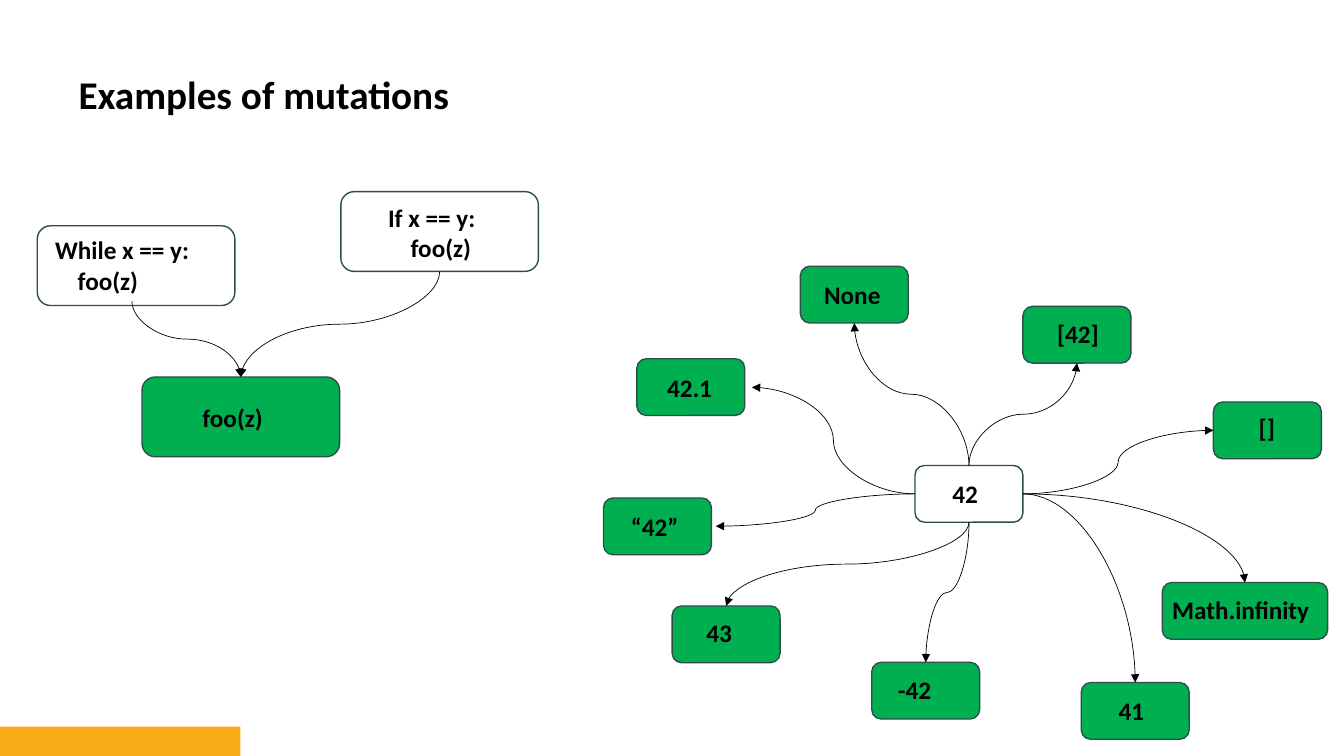
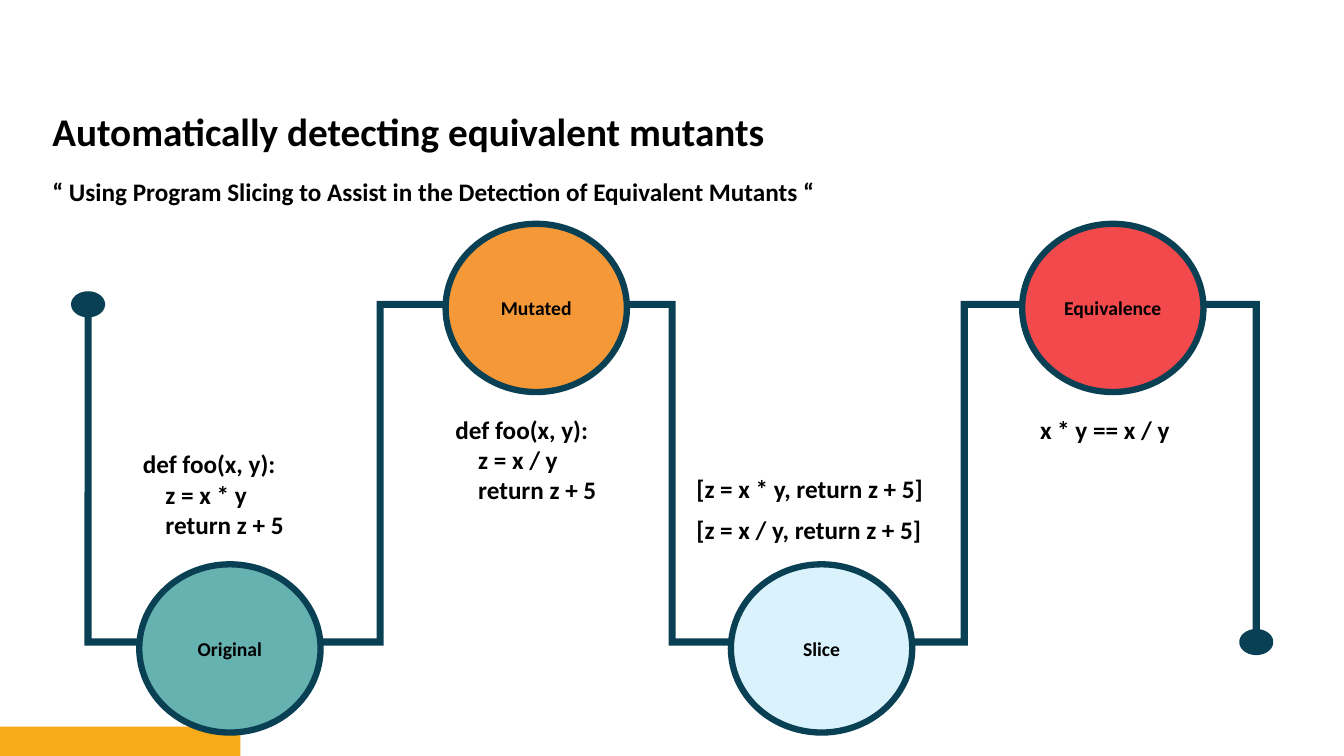
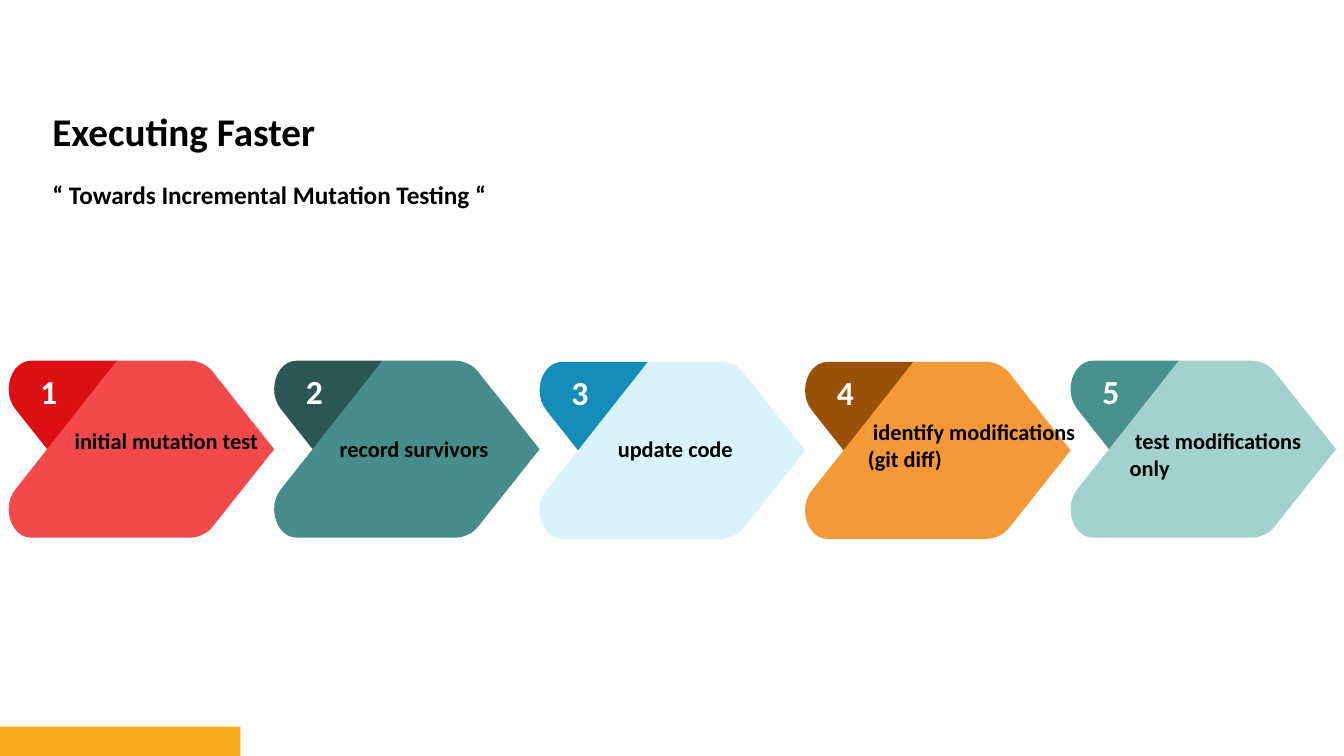
import math
from lxml import etree
from pptx import Presentation
from pptx import util as u
from pptx.dml.color import RGBColor
from pptx.enum import shapes, text
from pptx.oxml.ns import qn

COLOURS = {
    "band": "F9AA19", "ink": "000000", "paper": "FFFFFF", "edge": "2D4E4D",
    "mutant": "00B050", "navy": "0A4054", "red": "F2494C", "deep red": "DC1013",
    "orange": "F49838", "brown": "995109", "ice": "DAF2FB", "blue": "148DB8",
    "teal": "66B2B0", "dark teal": "468C8A", "deep teal": "2B5756",
    "pale teal": "A3D1D0", "mid teal": "49918F",
}
FONT = "Calibri"
TOP, LEFT, BOTTOM, RIGHT = range(4)
SITES = {TOP: (0.5, 0), LEFT: (0, 0.5), BOTTOM: (0.5, 1), RIGHT: (1, 0.5)}
CODE_INDENT = 0.57
KINDS = shapes.MSO_SHAPE


def apply(target, values):
    for name, value in values.items():
        setattr(target, name, value)


def colour(name):
    return RGBColor.from_string(COLOURS[name])


def paint(shape, fill, line=None, width=1):
    shape.shadow.inherit = False
    shape.fill.solid()
    shape.fill.fore_color.rgb = colour(fill)
    if line:
        shape.line.color.rgb = colour(line)
        shape.line.width = u.Pt(width)
    else:
        shape.line.fill.background()


def add_block(page, kind, place, fill, line=None, width=1):
    shape = page.shapes.add_shape(kind, *map(u.Cm, place))
    paint(shape, fill, line, width)
    return shape


def write(box, lines, size, ink="ink", align=None, indents=(), first=0):
    frame = box.text_frame
    for index, line in enumerate(lines):
        para = frame.paragraphs[0] if index == 0 else frame.add_paragraph()
        span = para.add_run()
        span.text = line
        apply(span.font, {"name": FONT, "size": u.Pt(size), "bold": True})
        span.font.color.rgb = colour(ink)
        if align is not None:
            para.alignment = align
        if index in indents:
            para._p.get_or_add_pPr().set("marL", str(u.Cm(CODE_INDENT)))
        if first:
            para._p.get_or_add_pPr().set("indent", str(u.Cm(first)))


def add_label(page, place, lines, size=18, **style):
    box = page.shapes.add_textbox(*map(u.Cm, place))
    apply(box.text_frame, {"word_wrap": True,
                           "auto_size": text.MSO_AUTO_SIZE.SHAPE_TO_FIT_TEXT})
    write(box, lines, size, **style)
    return box


def add_title(page, title, left=1.07, top=2.57, width=21.08):
    add_label(page, (left, top, width, 1.45), [title], 28)


def add_outline(page, points, fill):
    (x, y), *rest = [(u.Cm(a), u.Cm(b)) for a, b in points]
    builder = page.shapes.build_freeform(x, y)
    builder.add_line_segments(rest, close=True)
    paint(builder.convert_to_shape(), fill)


def site_point(shape, side):
    across, down = SITES[side]
    return shape.left + shape.width * across, shape.top + shape.height * down


def add_curve(page, start, start_side, end, end_side):
    x1, y1 = site_point(start, start_side)
    x2, y2 = site_point(end, end_side)
    upright = start_side in (TOP, BOTTOM)
    across, down = (y2 - y1, x1 - x2) if upright else (x2 - x1, y2 - y1)
    middle_x, middle_y = (x1 + x2) / 2, (y1 + y2) / 2
    curve = page.shapes.add_connector(shapes.MSO_CONNECTOR.CURVE, 0, 0, 0, 0)
    curve.begin_connect(start, start_side)
    curve.end_connect(end, end_side)
    apply(curve, {"begin_x": int(middle_x - across / 2),
                  "begin_y": int(middle_y - down / 2),
                  "end_x": int(middle_x + across / 2),
                  "end_y": int(middle_y + down / 2)})
    curve.line.color.rgb = colour("ink")
    curve.line.width = u.Pt(0.5)
    properties = curve.element.spPr
    if upright:
        properties.find(qn("a:xfrm")).set("rot", "5400000")
    elif end_side in (TOP, BOTTOM):
        properties.find(qn("a:prstGeom")).set("prst", "curvedConnector2")
    etree.SubElement(properties.find(qn("a:ln")), qn("a:tailEnd"), type="triangle")
    etree.SubElement(properties, qn("a:effectLst"))


def draw_mutations(page):
    add_title(page, "Examples of mutations", 1.73, 1.65, 15.21)
    boxes, labels = {}, {}
    statements = [
        ("call", 3.58, 9.5, "mutant", (4.85, 10.01, 3.3, 1.02), ["foo(z)"]),
        ("while", 0.94, 5.69, "paper", (1.14, 5.79, 4.37, 1.8),
         ["While x == y:", "foo(z)"]),
        ("if", 8.59, 4.83, "paper", (9.53, 4.98, 3.56, 1.8),
         ["If x == y:", "foo(z)"]),
    ]
    for name, left, top, fill, place, lines in statements:
        boxes[name] = add_block(page, KINDS.ROUNDED_RECTANGLE,
                                (left, top, 4.98, 2.01), fill, "edge")
        labels[name] = add_label(page, place, lines, indents=(1,))
    values = [
        ("42", 23.06, 11.73, 2.72, 23.75, 11.94, 1.37),
        ("41", 27.25, 17.2, 2.72, 27.94, 17.4, 1.37),
        ("43", 16.94, 15.27, 2.72, 17.55, 15.44, 1.37),
        ("-42", 21.97, 16.69, 2.72, 22.38, 16.87, 2.39),
        ("“42”", 15.21, 12.55, 2.72, 15.65, 12.75, 2.39),
        ("42.1", 16.05, 9.04, 2.72, 16.56, 9.25, 2.39),
        ("None", 20.17, 6.71, 2.72, 20.52, 6.91, 2.39),
        ("[42]", 25.78, 7.72, 2.72, 26.39, 7.9, 2.39),
        ("[]", 30.58, 10.13, 2.72, 31.47, 10.26, 2.39),
        ("Math.infinity", 29.29, 14.68, 4.17, 29.29, 14.86, 4.57),
    ]
    for name, left, top, width, label_left, label_top, label_width in values:
        boxes[name] = add_block(page, KINDS.ROUNDED_RECTANGLE,
                                (left, top, width, 1.43),
                                "paper" if name == "42" else "mutant", "edge")
        labels[name] = add_label(
            page, (label_left, label_top, label_width, 1.02), [name])
    add_curve(page, labels["while"], BOTTOM, boxes["call"], TOP)
    add_curve(page, boxes["if"], BOTTOM, boxes["call"], TOP)
    edges = [
        (TOP, boxes["None"], BOTTOM), (TOP, boxes["[42]"], BOTTOM),
        (LEFT, labels["42.1"], RIGHT), (LEFT, labels["“42”"], RIGHT),
        (RIGHT, boxes["[]"], LEFT), (RIGHT, boxes["Math.infinity"], TOP),
        (RIGHT, boxes["41"], TOP), (BOTTOM, boxes["43"], TOP),
        (BOTTOM, boxes["-42"], TOP),
    ]
    for side, target, target_side in edges:
        add_curve(page, boxes["42"], side, target, target_side)


def knob(x, y, first_angle):
    angles = range(first_angle, first_angle - 337, -12)
    return [(x + 0.43 * math.cos(math.radians(a)),
             y + 0.33 * math.sin(math.radians(a))) for a in angles]


def ribbon_points():
    columns = [2.22 + 7.36 * i for i in range(5)]
    top, bottom, half = 7.67, 16.18, 0.09
    near, far = [], []
    for index, x in enumerate(columns):
        falling = index % 2 == 0
        shift = -half if falling else half
        for y in (top, bottom) if falling else (bottom, top):
            near.append((x + shift, y + half))
            far.append((x - shift, y - half))
    return (near[1:-1] + knob(columns[-1], bottom, -102)
            + far[-2:0:-1] + knob(columns[0], top, 78))


def draw_detection(page):
    add_title(page, "Automatically detecting equivalent mutants")
    notes = [
        ((1.07, 4.32, 27.18, 1.02),
         ["“ Using Program Slicing to Assist in the Detection of Equivalent Mutants “"]),
        ((3.35, 11.18, 4.88, 2.57), ["def foo(x, y):", "z = x * y", "return z + 5"]),
        ((11.23, 10.31, 4.88, 2.57), ["def foo(x, y):", "z = x / y", "return z + 5"]),
        ((17.3, 11.81, 6.81, 1.02), ["[z = x * y, return z + 5]"]),
        ((17.3, 12.83, 6.81, 1.02), ["[z = x / y, return z + 5]"]),
        ((25.96, 10.31, 4.57, 1.02), ["x * y == x / y"]),
    ]
    for place, lines in notes:
        add_label(page, place, lines, indents=(1, 2))
    add_outline(page, ribbon_points(), "navy")
    stages = [("Original", 3.51, 14.22, "teal"), ("Mutated", 11.23, 5.64, "orange"),
              ("Slice", 18.42, 14.22, "ice"), ("Equivalence", 25.76, 5.64, "red")]
    for name, left, top, fill in stages:
        circle = add_block(page, KINDS.OVAL, (left, top, 4.57, 4.24), fill, "navy", 4.5)
        circle.text_frame.vertical_anchor = text.MSO_ANCHOR.MIDDLE
        write(circle, [name], 14, align=text.PP_ALIGN.CENTER)


def trace(steps, left, top):
    points = []
    for step in steps:
        if len(step) == 2:
            points.append(step)
            continue
        knots = [points[-1], step[:2], step[2:4], step[4:]]
        for i in range(1, 13):
            t = i / 12
            weights = [math.comb(3, k) * t ** k * (1 - t) ** (3 - k) for k in range(4)]
            points.append(tuple(sum(w * knot[axis] for w, knot in zip(weights, knots))
                                for axis in (0, 1)))
    return [(left + x, top + y) for x, y in points]


def add_arrow_card(page, left, top, number, dark, light):
    corner = [(2.72, 0), (0.56, 0), (0.05, 0, -0.2, 0.77, 0.16, 1.22),
              (0.96, 2.23), (2.13, 1.3)]
    body = [(5.18, 0.34), (5.02, 0.11, 4.78, 0, 4.54, 0), (2.72, 0), (0.96, 2.23),
            (0.16, 3.24), (-0.2, 3.69, 0.05, 4.46, 0.56, 4.46), (4.54, 4.46),
            (4.78, 4.46, 5.02, 4.35, 5.18, 4.12), (6.68, 2.23)]
    add_outline(page, trace(corner, left, top), dark)
    add_outline(page, trace(body, left, top), light)
    digit = add_label(page, (left + 0.51, top + 0.13, 0.99, 1.27), [str(number)], 24,
                      ink="paper", align=text.PP_ALIGN.CENTER)
    apply(digit.text_frame, {"word_wrap": False,
                             "vertical_anchor": text.MSO_ANCHOR.MIDDLE})


def draw_increments(page):
    add_title(page, "Executing Faster")
    add_label(page, (1.07, 4.39, 16.94, 1.02), ["“ Towards Incremental Mutation Testing “"])
    steps = [
        ("initial mutation test", 9.09, "deep red", "red", (1.5, 10.64, 5.38, 1.63)),
        ("record survivors", 9.09, "deep teal", "dark teal", (8.18, 10.85, 5.18, 0.94)),
        ("update code", 9.12, "blue", "ice", (15.19, 10.85, 5.18, 0.94)),
        ("identify modifications (git diff)", 9.12, "brown", "orange",
         (21.62, 10.41, 5.79, 2.31)),
        ("test modifications only", 9.09, "mid teal", "pale teal",
         (28.22, 10.64, 5.38, 1.63)),
    ]
    for index, (_, top, dark, light, _) in enumerate(steps):
        add_arrow_card(page, 0.23 + 6.69 * index, top, index + 1, dark, light)
    for caption, _, _, _, place in steps:
        add_label(page, place, [caption], 16, first=0.13)


def add_shared_band(page):
    band = add_block(page, KINDS.RECTANGLE, (0, 18.31, 6.06, 0.74), "band")
    page.slide_layout.shapes.element.append(band.element)


def main():
    deck = Presentation()
    apply(deck, {"slide_width": u.Cm(33.87), "slide_height": u.Cm(19.05)})
    blank = deck.slide_layouts[6]
    pages = [deck.slides.add_slide(blank) for _ in range(3)]
    add_shared_band(pages[0])
    for draw, page in zip((draw_mutations, draw_detection, draw_increments), pages):
        draw(page)
    deck.save("out.pptx")


if __name__ == "__main__":
    main()
